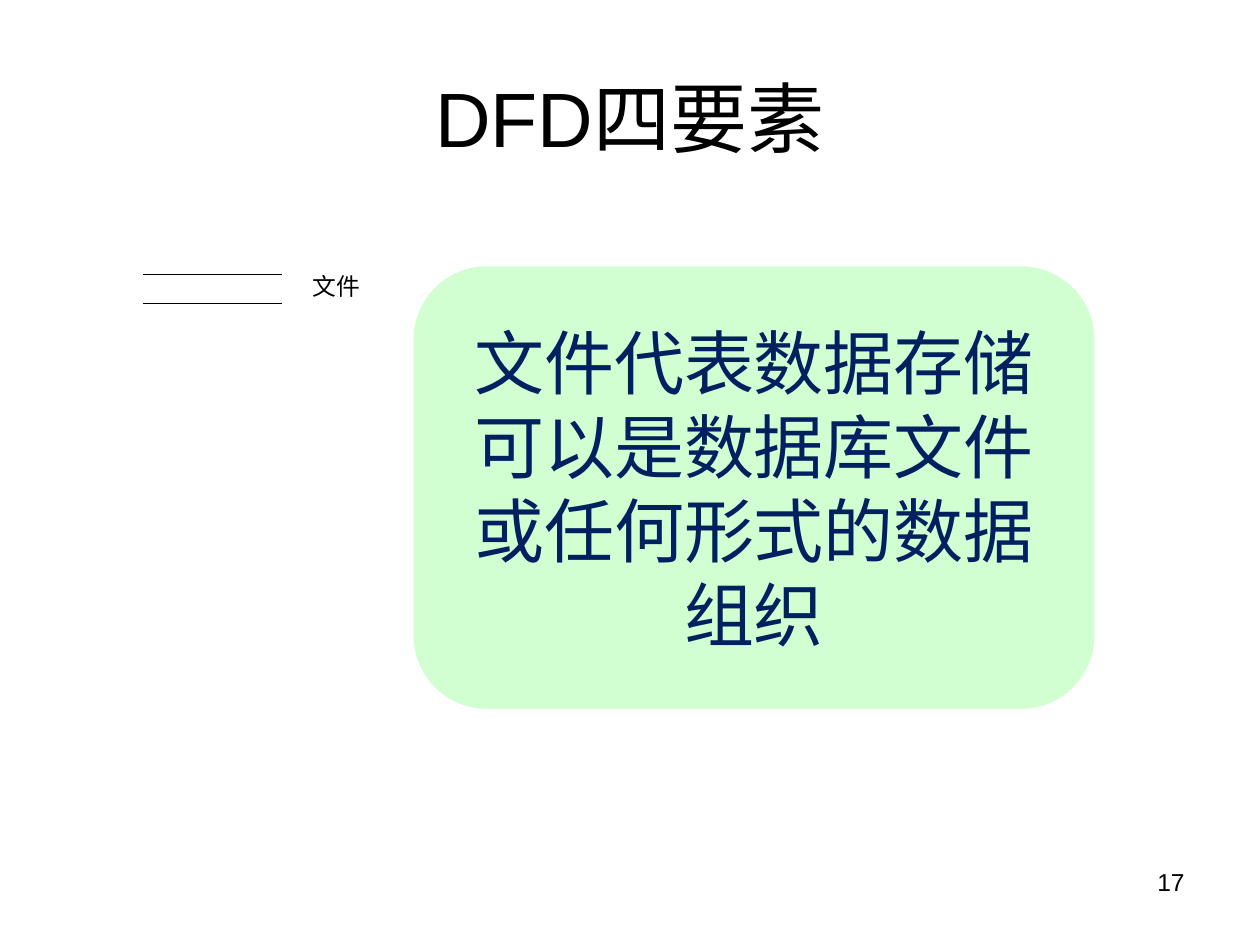
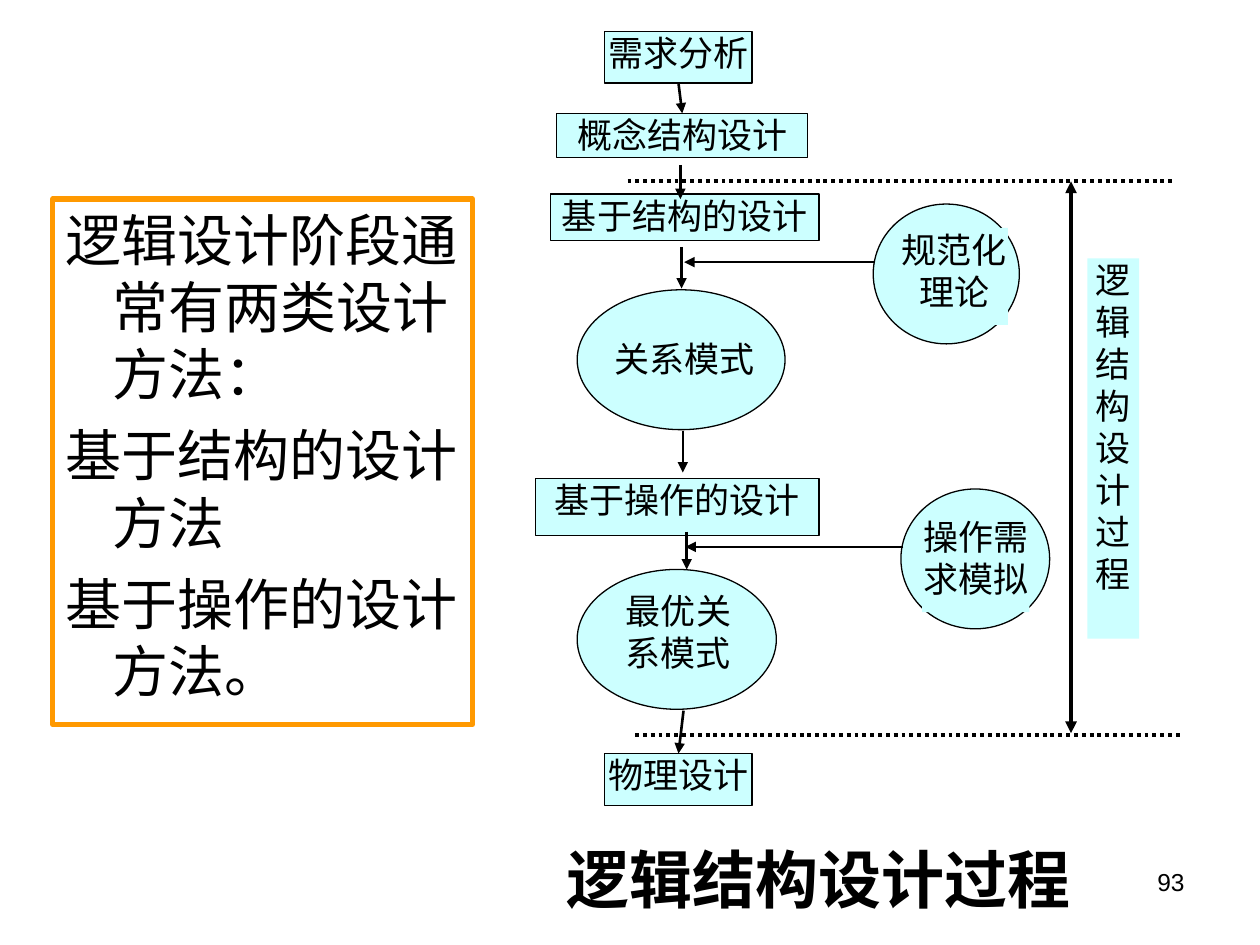
import pptx
import pptx.dml.color
import pptx.enum.dml
import pptx.enum.shapes
import pptx.enum.text
import pptx.oxml.ns
import pptx.util
from lxml import etree

Pt = pptx.util.Pt
SHAPES = pptx.enum.shapes.MSO_SHAPE
ALIGN = pptx.enum.text.PP_ALIGN
ANCHOR = pptx.enum.text.MSO_ANCHOR
DASH = pptx.enum.dml.MSO_LINE

# Shared colours, fonts and text formats
BLACK, WHITE, NAVY = "000000", "FFFFFF", "002060"
AQUA, MINT, ORANGE = "CCFFFF", "D1FFD1", "FF9900"
CJK_FONT = "Noto Sans CJK SC"
PADDED, TIGHT = (7.2, 3.6), (0, 0)

TITLE = {"name": "Arial", "size": Pt(44)}
BODY = {"name": "Arial", "size": Pt(32)}
NUMBER = {"name": "Arial", "size": Pt(14)}
CALLOUT = {"name": CJK_FONT, "size": Pt(40)}
FILE_LABEL = {"name": "Times New Roman", "size": Pt(13.6)}
NODE = {"name": "Times New Roman", "size": Pt(20)}
CAPTION = {"name": "Times New Roman", "size": Pt(36), "bold": True}

CENTER = {"alignment": ALIGN.CENTER}
RIGHT = {"alignment": ALIGN.RIGHT}


def color(hex_text):
    return pptx.dml.color.RGBColor.from_string(hex_text)


def apply(target, values):
    for name, value in values.items():
        setattr(target, name, value)


def write(box, lines, font, layout, ink=BLACK, inset=TIGHT, anchor=ANCHOR.TOP,
          gap=0, hanging=0):
    """Fill a box with one paragraph per line of text."""
    frame = box.text_frame
    across, down = inset
    apply(frame, {"word_wrap": True, "vertical_anchor": anchor,
                  "margin_left": Pt(across), "margin_right": Pt(across),
                  "margin_top": Pt(down), "margin_bottom": Pt(down)})
    for index, line in enumerate(lines):
        para = frame.add_paragraph() if index else frame.paragraphs[0]
        apply(para, layout)
        if index and gap:
            para.space_before = Pt(gap)
        if hanging:
            properties = para._p.get_or_add_pPr()
            properties.set("marL", str(Pt(hanging)))
            properties.set("indent", str(-Pt(hanging)))
        span = para.add_run()
        span.text = line
        apply(span.font, font)
        span.font.color.rgb = color(ink)
        east_asian = etree.SubElement(span.font._element, pptx.oxml.ns.qn("a:ea"))
        east_asian.set("typeface", CJK_FONT)


def add_text(page, at, text, font, layout, **options):
    box = page.shapes.add_textbox(*map(Pt, at))
    write(box, [text], font, layout, **options)


def add_box(page, kind, at, fill=None, line=None, width=0.75):
    box = page.shapes.add_shape(kind, *map(Pt, at))
    box.shadow.inherit = False
    if fill:
        box.fill.solid()
        box.fill.fore_color.rgb = color(fill)
    else:
        box.fill.background()
    if line:
        box.line.color.rgb = color(line)
        box.line.width = Pt(width)
    else:
        box.line.fill.background()
    return box


def add_node(page, text, at, line=None):
    box = add_box(page, SHAPES.RECTANGLE, at, AQUA, line)
    write(box, [text], NODE, CENTER)
    return box


def add_line(page, ends, width=0.75, dash=None, arrows=()):
    """Draw a straight line; arrows names its ends: headEnd, tailEnd."""
    line = page.shapes.add_connector(
        pptx.enum.shapes.MSO_CONNECTOR.STRAIGHT, *map(Pt, ends))
    line.line.color.rgb = color(BLACK)
    line.line.width = Pt(width)
    if dash:
        line.line.dash_style = dash
    outline = line.line._get_or_add_ln()
    for end in arrows:
        etree.SubElement(outline, pptx.oxml.ns.qn("a:" + end)).set("type", "triangle")
    etree.SubElement(line._element.spPr, pptx.oxml.ns.qn("a:effectLst"))
    return line


def add_arrow(page, ends):
    return add_line(page, ends, 1.5, arrows=["tailEnd"])


def add_page(deck, number):
    page = deck.slides.add_slide(deck.slide_layouts[6])
    add_text(page, (516, 492, 168, 37.4), number, NUMBER, RIGHT, inset=PADDED)
    return page


def build_elements_page(deck):
    page = add_page(deck, "17")
    add_text(page, (36, 21.6, 648, 90), "DFD四要素", TITLE, CENTER,
             inset=PADDED, anchor=ANCHOR.MIDDLE)

    # File symbol: two rules and a label
    label = add_box(page, SHAPES.RECTANGLE, (178.6, 157, 102.2, 17.3), WHITE, WHITE)
    write(label, ["文件"], FILE_LABEL, {"alignment": ALIGN.LEFT, "line_spacing": 0.9})
    for y in (157, 173.5):
        add_line(page, (82, y, 161.3, y))

    # Explanation
    callout = add_box(page, SHAPES.ROUNDED_RECTANGLE, (235.4, 151.2, 391, 254.9),
                      MINT, WHITE, 2)
    callout.adjustments[0] = 0.167
    write(callout, ["文件代表数据存储", "可以是数据库文件或任何形式的数据组织"],
          CALLOUT, CENTER, ink=NAVY, inset=PADDED, anchor=ANCHOR.MIDDLE)


def build_process_page(deck):
    page = add_page(deck, "93")

    # Methods and caption
    methods = add_box(page, SHAPES.RECTANGLE, (30.2, 113.8, 239.8, 300.2),
                      line=ORANGE, width=3)
    write(methods, ["逻辑设计阶段通常有两类设计方法：", "基于结构的设计方法",
                    "基于操作的设计方法。"],
          BODY, {"alignment": ALIGN.LEFT}, inset=PADDED, gap=8, hanging=27)
    add_text(page, (306, 480.2, 324, 48), "逻辑结构设计过程", CAPTION, CENTER)

    # Ellipses
    for left, top, width in ((514.8, 279.4, 85), (499, 116.6, 83.5),
                             (329.8, 165.6, 118.8), (329.8, 325.4, 113.8)):
        add_box(page, SHAPES.OVAL, (left, top, width, 79.9), AQUA, BLACK)

    # Steps
    steps = [add_node(page, text, at, BLACK) for text, at in (
        ("需求分析", (345.6, 18, 84.2, 29.5)),
        ("概念结构设计", (318.2, 64.8, 143.3, 25.2)),
        ("基于结构的设计", (314.6, 110.9, 153.4, 26.6)),
        ("基于操作的设计", (306, 273.6, 162, 32.4)),
        ("物理设计", (345.6, 430.6, 84.2, 29.5)))]

    # Ellipse texts
    for text, at in (("关系模式", (349.2, 193, 84.2, 29.5)),
                     ("最优关系模式", (357.1, 337, 61.2, 55.4)),
                     ("规范化理论", (514.8, 130.3, 61.2, 55.4)),
                     ("操作需求模拟", (527, 294.5, 61.2, 55.4))):
        add_node(page, text, at)

    # Flow arrows
    for ends in ((388.8, 94.3, 388.8, 113.8), (389.5, 141.1, 389.5, 164.9),
                 (390.2, 246.2, 390.2, 270), (392.4, 303.8, 392.4, 325.4),
                 (516.2, 312.5, 391.7, 312.5), (499.7, 149.8, 391, 149.8)):
        add_arrow(page, ends)
    first = add_arrow(page, (390.2, 48, 390.2, 67.7))
    first.begin_connect(steps[0], 2)
    first.end_connect(steps[1], 0)
    last = add_arrow(page, (390.6, 406.1, 390.2, 431.3))
    last.end_connect(steps[-1], 0)

    # Extent of the logical design phase
    for left, y in ((358.6, 103.7), (362.9, 419.8)):
        add_line(page, (left, y, left + 313.2, y), 2.25, DASH.ROUND_DOT)
    add_line(page, (612, 103.7, 612, 419), 2.25, arrows=["headEnd", "tailEnd"])
    add_node(page, "逻辑结构设计过程", (621.4, 147.6, 29.5, 217.4))


def main():
    deck = pptx.Presentation()
    deck.slide_width, deck.slide_height = Pt(720), Pt(540)
    build_elements_page(deck)
    build_process_page(deck)
    deck.save("out.pptx")


if __name__ == "__main__":
    main()
